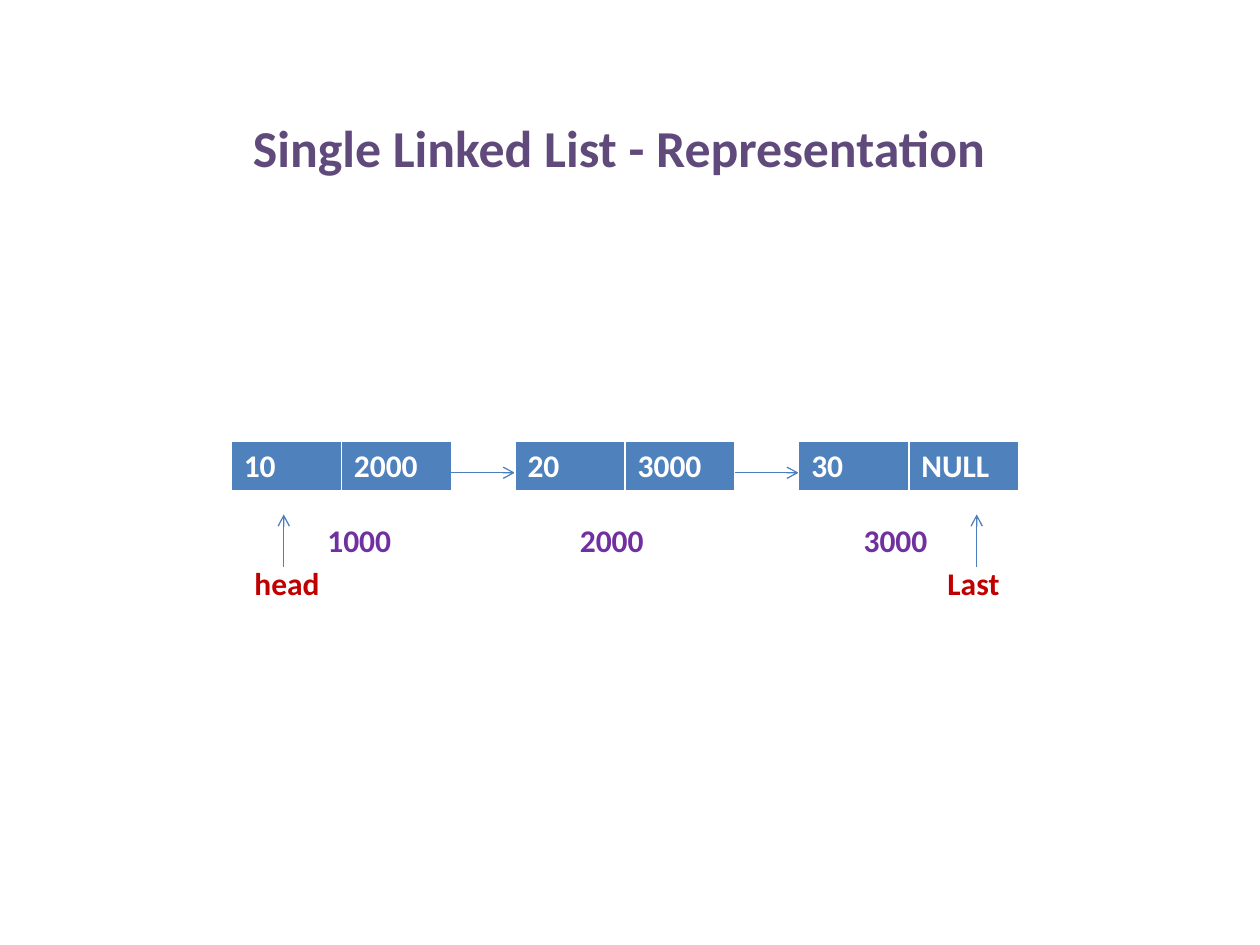
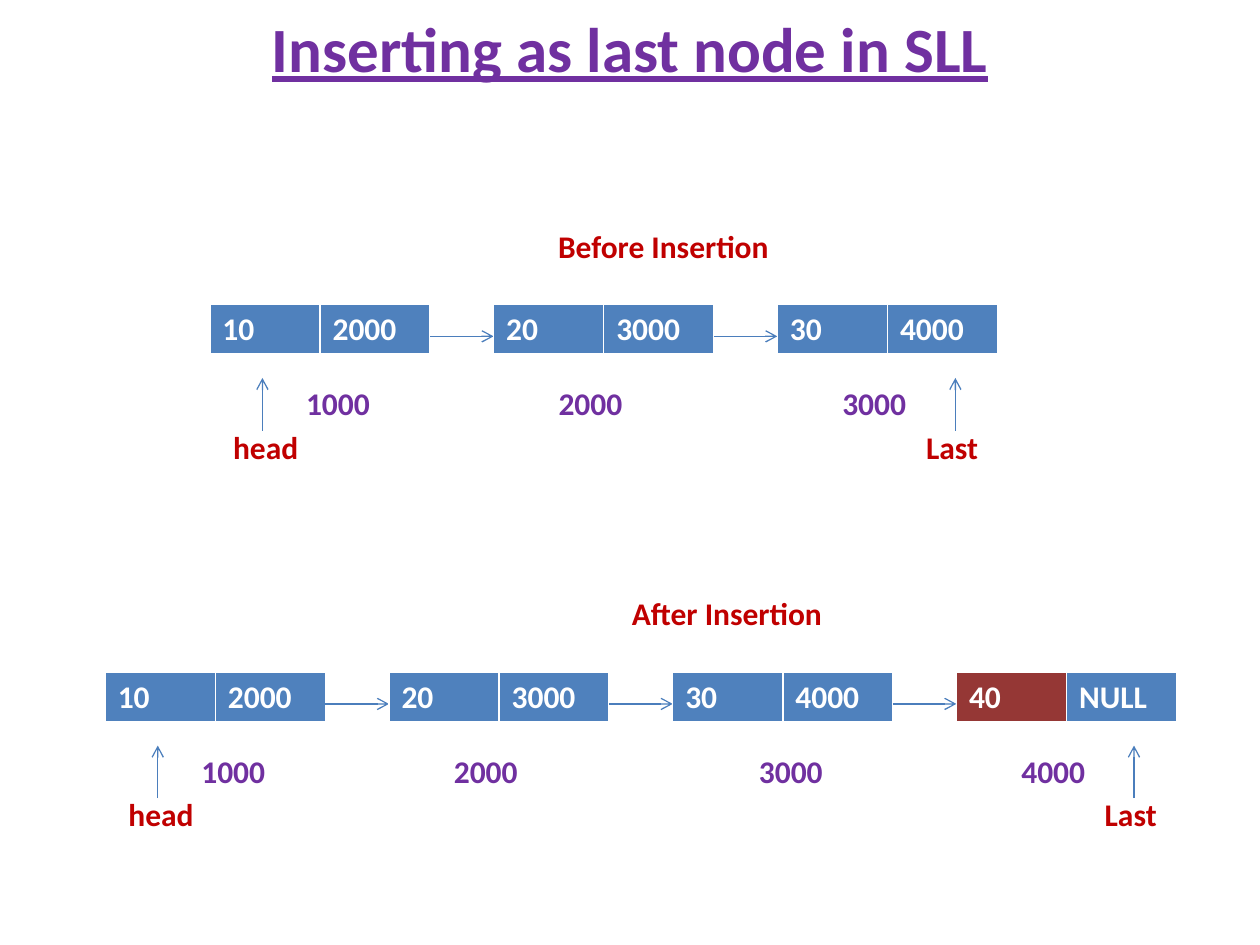
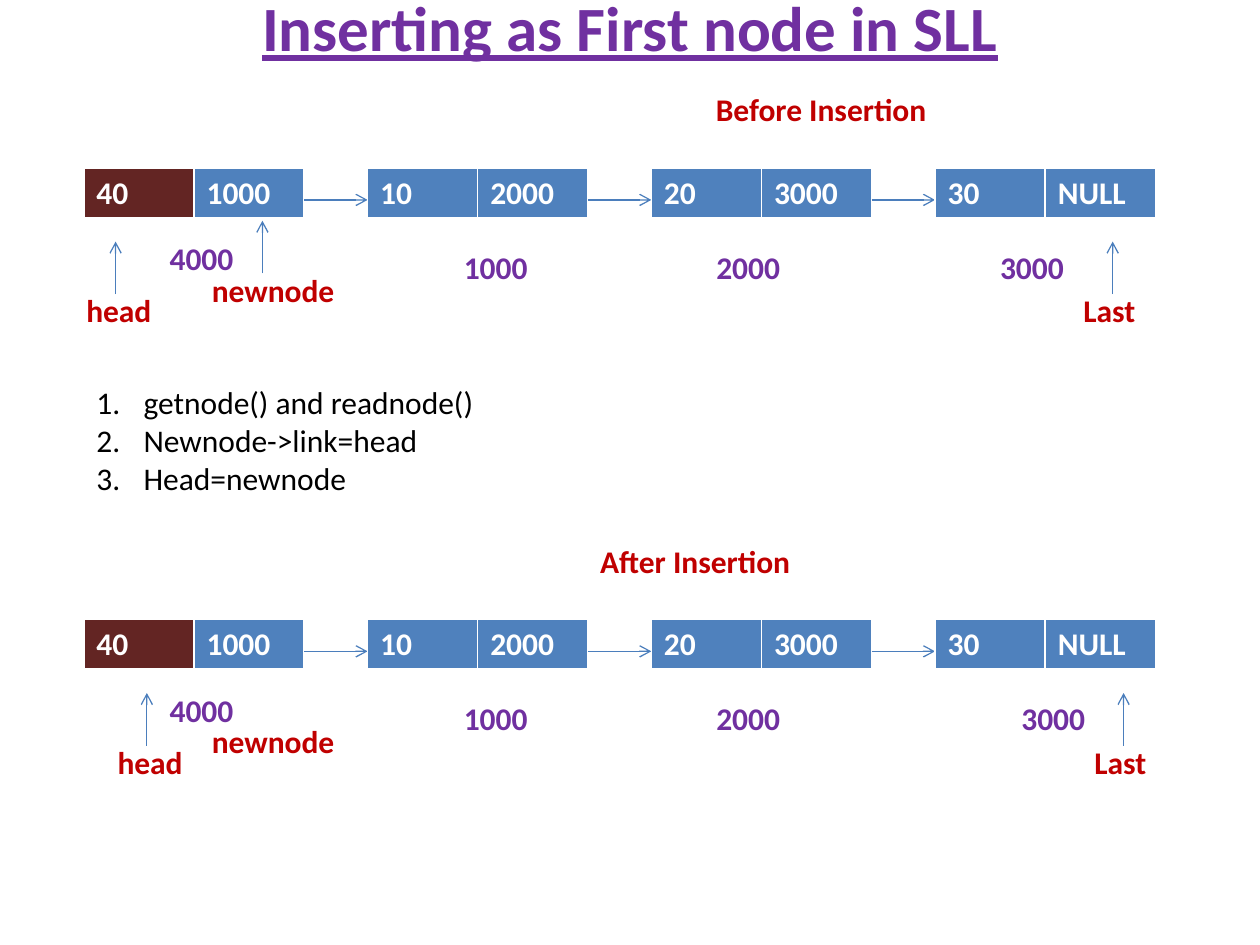
from lxml import etree
from pptx import Presentation
from pptx.dml.color import RGBColor
from pptx.enum.shapes import MSO_CONNECTOR
from pptx.enum.text import MSO_ANCHOR, MSO_AUTO_SIZE, PP_ALIGN
from pptx.oxml.ns import qn
from pptx.util import Cm, Pt

STRAIGHT = MSO_CONNECTOR.STRAIGHT
TOP, MIDDLE = MSO_ANCHOR.TOP, MSO_ANCHOR.MIDDLE
CENTER = PP_ALIGN.CENTER
NO_FIT, GROW = MSO_AUTO_SIZE.NONE, MSO_AUTO_SIZE.SHAPE_TO_FIT_TEXT

WHITE = RGBColor(0xFF, 0xFF, 0xFF)
BLACK = RGBColor(0x00, 0x00, 0x00)
BLUE = RGBColor(0x4F, 0x81, 0xBD)
LINK_BLUE = RGBColor(0x4B, 0x7E, 0xBC)
PURPLE = RGBColor(0x70, 0x30, 0xA0)
DUSK = RGBColor(0x60, 0x4A, 0x7B)
RED = RGBColor(0xC0, 0x00, 0x00)
BRICK = RGBColor(0x95, 0x37, 0x35)
MAROON = RGBColor(0x63, 0x25, 0x23)

BASE = {"name": "Calibri", "size": Pt(18), "bold": True}
CELL = {**BASE, "color": WHITE}
ADDRESS = {**BASE, "color": PURPLE}
POINTER = {**BASE, "color": RED}
STEP = {**BASE, "bold": False, "color": BLACK}
OPENING = {**BASE, "size": Pt(29.6), "color": DUSK}
HEADING = {**BASE, "size": Pt(36), "underline": True, "color": PURPLE}

FIELD_W, NODE_H = 2.22, 1.03
NODE_W = 2 * FIELD_W
PITCH = 5.72
LABEL_W, LABEL_H = 2.33, 1.02
BORDERS = {"a:lnL": 1, "a:lnR": 1, "a:lnT": 1, "a:lnB": 3}


def write(p, text, fmt):
    r = p.add_run()
    r.text = text
    for key, value in fmt.items():
        if key == "color":
            r.font.color.rgb = value
        else:
            setattr(r.font, key, value)


def place(shape, x, y, w, h):
    for key, value in {"left": x, "top": y, "width": w, "height": h}.items():
        setattr(shape, key, Cm(value))


def add_title(s, text, x, y, w, h, fmt):
    sp = s.shapes.title
    place(sp, x, y, w, h)
    tf = sp.text_frame
    tf.auto_size, tf.vertical_anchor = NO_FIT, MIDDLE
    tf.paragraphs[0].alignment = CENTER
    write(tf.paragraphs[0], text, fmt)


def add_label(s, text, x, y, fmt, w=LABEL_W):
    tf = s.shapes.add_textbox(Cm(x), Cm(y), Cm(w), Cm(LABEL_H)).text_frame
    tf.word_wrap, tf.auto_size = True, GROW
    write(tf.paragraphs[0], text, fmt)


def add_arrow(s, x1, y1, x2, y2):
    cx = s.shapes.add_connector(STRAIGHT, Cm(x1), Cm(y1), Cm(x2), Cm(y2))
    cx.line.color.rgb = LINK_BLUE
    cx.line.width = Pt(0.75)
    ln = cx.line._get_or_add_ln()
    etree.SubElement(ln, qn("a:tailEnd"), type="arrow")
    etree.SubElement(ln.getparent(), qn("a:effectLst"))


def add_borders(cell):
    tcPr = cell._tc.get_or_add_tcPr()
    for tag, width in BORDERS.items():
        ln = etree.SubElement(tcPr, qn(tag), w=str(Pt(width)))
        fill = etree.SubElement(ln, qn("a:solidFill"))
        etree.SubElement(fill, qn("a:srgbClr"), val=str(WHITE))


def add_node(s, x, y, data, link, color):
    tbl = s.shapes.add_table(1, 2, Cm(x), Cm(y), Cm(NODE_W), Cm(NODE_H)).table
    tbl.first_row = tbl.horz_banding = False
    for i, (text, fill) in enumerate([(data, color), (link, BLUE)]):
        tbl.columns[i].width = Cm(FIELD_W)
        cell = tbl.cell(0, i)
        add_borders(cell)
        cell.fill.solid()
        cell.fill.fore_color.rgb = fill
        write(cell.text_frame.paragraphs[0], text, CELL)


def add_pointer(s, name, x, y):
    add_arrow(s, x, y + 1.06, x, y)
    add_label(s, name, x - 0.84, y + 0.88, POINTER)


def add_chain(s, x, y, values, address_spots, head, last, first_color=BLUE,
              last_color=BLUE):
    end = len(values) - 1
    for i, ((data, link, address), (dx, dy)) in enumerate(
            zip(values, address_spots)):
        left = x + i * PITCH
        color = first_color if i == 0 else last_color if i == end else BLUE
        add_node(s, left, y, data, link, color)
        add_label(s, address, left + dx, y + dy, ADDRESS)
        if i < end:
            add_arrow(s, left + NODE_W, y + 0.64, left + PITCH, y + 0.64)
    add_pointer(s, "head", x + head, y + 1.48)
    add_pointer(s, "Last", x + last, y + 1.48)


def add_caption(s, text, x, y):
    add_label(s, text, x, y, POINTER, 5.72)


def add_steps(s, steps, x, y, w, h):
    sp = s.placeholders[1]
    place(sp, x, y, w, h)
    tf = sp.text_frame
    tf.auto_size, tf.vertical_anchor = NO_FIT, TOP
    for i, step in enumerate(steps):
        p = tf.add_paragraph() if i else tf.paragraphs[0]
        p.space_before = Pt(0)
        pPr = p._p.get_or_add_pPr()
        pPr.set("marL", str(Cm(0.95)))
        pPr.set("indent", str(Cm(-0.95)))
        etree.SubElement(pPr, qn("a:buFont"), typeface="+mj-lt")
        etree.SubElement(pPr, qn("a:buAutoNum"), type="arabicPeriod")
        write(p, step, STEP)


FIRST, USUAL, SHIFTED, RAISED = (1.69, 1.48), (1.06, 1.48), (1.49, 1.48), (1.48, 1.31)
THREE = [FIRST, USUAL, USUAL]
N10, N20 = ("10", "2000", "1000"), ("20", "3000", "2000")
N30, N30_END = ("30", "4000", "3000"), ("30", "NULL", "3000")
N40, N40_END = ("40", "1000", "4000"), ("40", "NULL", "4000")


def representation_slide(prs):
    s = prs.slides.add_slide(prs.slide_layouts[5])
    add_title(s, "Single Linked List - Representation", 0.64, 2.0, 23.7, 1.9,
              OPENING)
    add_chain(s, 4.66, 8.89, [N10, N20, N30_END], THREE, 1.06, 15.03)


def insert_last_slide(prs):
    s = prs.slides.add_slide(prs.slide_layouts[5])
    add_title(s, "Inserting as last node in SLL", 1.27, -0.64, 22.86, 3.18,
              HEADING)
    add_caption(s, "Before Insertion", 11.0, 4.45)
    add_chain(s, 4.23, 6.14, [N10, N20, N30], THREE, 1.06, 15.03)
    add_caption(s, "After Insertion", 12.49, 11.85)
    add_chain(s, 2.12, 13.55, [N10, N20, N30, N40_END],
              [FIRST, USUAL, SHIFTED, USUAL], 1.06, 20.74, last_color=BRICK)


def insert_first_slide(prs):
    s = prs.slides.add_slide(prs.slide_layouts[1])
    add_title(s, "Inserting as First node in SLL", 1.27, -1.06, 22.86, 3.18,
              HEADING)
    x = 1.69
    chains = [("Before Insertion", 14.18, 3.39, USUAL, 0.64, 20.74),
              ("After Insertion", 11.85, 12.49, SHIFTED, 1.27, 20.96)]
    for caption, caption_x, y, end_spot, head, last in chains:
        add_caption(s, caption, caption_x, y - 1.69)
        add_chain(s, x, y, [N40, N10, N20, N30_END],
                  [RAISED, FIRST, USUAL, end_spot], head, last,
                  first_color=MAROON)
        add_label(s, "newnode", x + 2.33, y + 1.95, POINTER, 3.18)
    before_y = chains[0][2]
    add_arrow(s, x + 3.6, before_y + 2.12, x + 3.6, before_y + 1.06)
    add_steps(s, ["getnode() and readnode()", "Newnode->link=head",
                  "Head=newnode"], x, 7.6, 11.0, 2.57)


def main():
    prs = Presentation()
    prs.slide_width, prs.slide_height = Cm(25.4), Cm(19.05)
    representation_slide(prs)
    insert_last_slide(prs)
    insert_first_slide(prs)
    prs.save("out.pptx")


if __name__ == "__main__":
    main()
